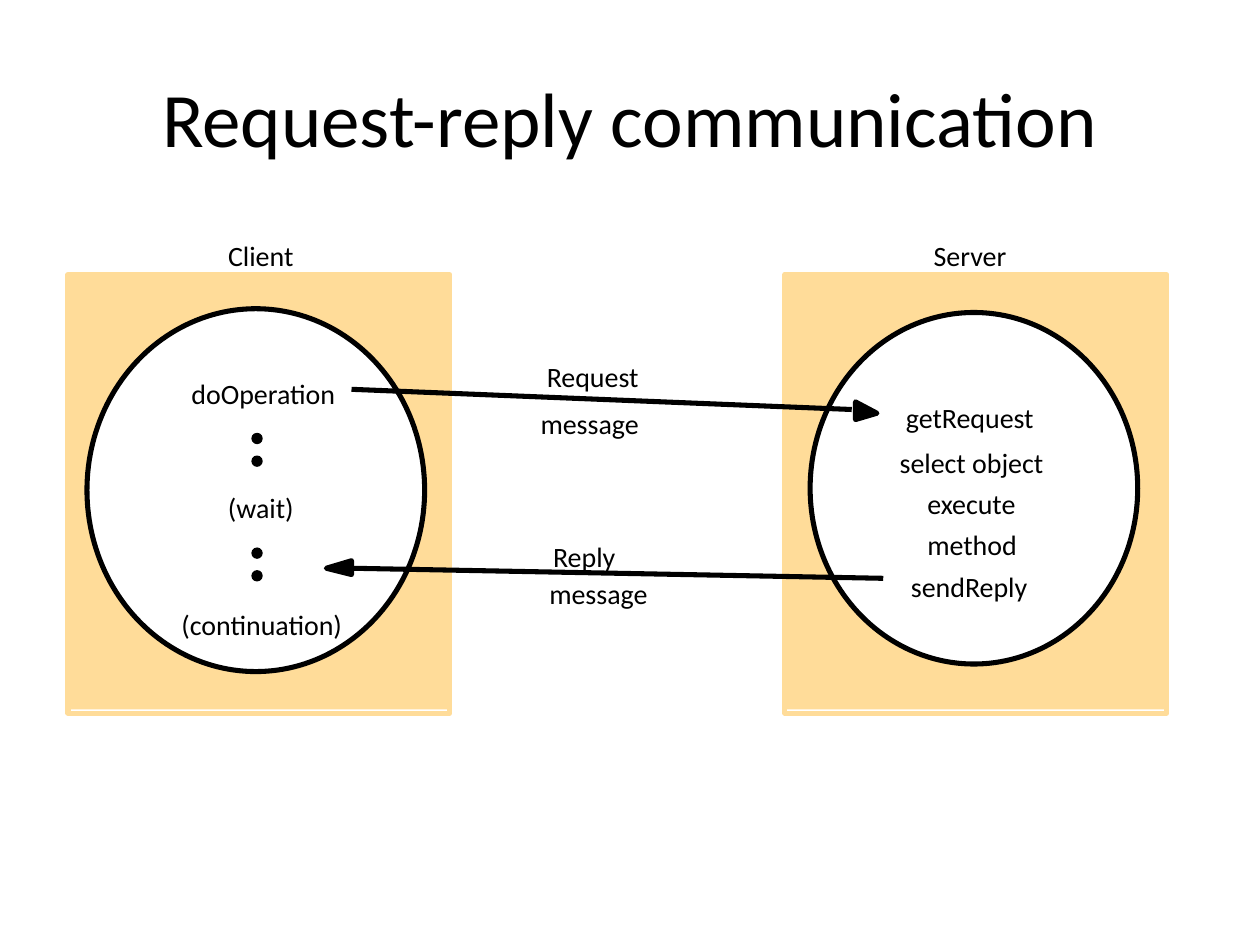
from pptx import Presentation
from pptx.dml.color import RGBColor
from pptx.enum.shapes import MSO_CONNECTOR, MSO_SHAPE
from pptx.enum.text import MSO_ANCHOR, MSO_AUTO_SIZE, PP_ALIGN
from pptx.oxml.ns import qn
from pptx.util import Inches, Pt
from lxml.etree import SubElement

THEME = {
    "font": "Calibri", "ink": "000000", "paper": "FFFFFF", "panel": "FFDC99",
    "title": 44, "label": 16, "stroke": 2.88, "hairline": 0.75,
}
TITLE = ("Request-reply communication", 0.5, 0.3, 9, 1.25)
PANEL_LEFTS = (0.54, 6.23)
PANEL_TOP, PANEL_FILL, PANEL_FRAME = 2.18, (3.01, 3.45), (3.03, 3.48)
PROCESSES = [(0.69, 2.45, 2.68, 2.88), (6.43, 2.48, 2.6, 2.79)]
LABELS = [
    ("Client", 1.81, 1.89, 0.52),
    ("doOperation", 1.52, 2.99, 1.16),
    ("(wait)", 1.81, 3.89, 0.53),
    ("(continuation)", 1.44, 4.82, 1.29),
    ("Server", 7.41, 1.89, 0.59),
    ("getRequest", 7.19, 3.18, 1.05),
    ("select object", 7.14, 3.54, 1.16),
    ("execute", 7.36, 3.86, 0.71),
    ("method", 7.36, 4.19, 0.72),
    ("sendReply", 7.23, 4.52, 0.97),
    ("Request", 4.34, 2.85, 0.74),
    ("message", 4.29, 3.23, 0.79),
    ("Reply", 4.39, 4.28, 0.5),
    ("message", 4.36, 4.58, 0.79),
]
LABEL_HEIGHT = 0.27
ARROWS = [
    ((2.79, 3.09, 6.76, 3.25), [(6.79, 3.25), (6.79, 3.19), (6.96, 3.28), (6.79, 3.33)]),
    ((7.01, 4.59, 2.79, 4.51), [(2.79, 4.51), (2.79, 4.56), (2.59, 4.51), (2.79, 4.45)]),
]
DOT_LEFT, DOT_SIZE, DOT_GAP, DOT_PAIR_TOPS = 2, 0.08, 0.18, (3.44, 4.35)


def color(name):
    return RGBColor.from_string(THEME[name])


def paint(sp, fill=None, line=None, width="stroke"):
    sp.shadow.inherit = False
    if fill:
        sp.fill.solid()
        sp.fill.fore_color.rgb = color(fill)
    else:
        sp.fill.background()
    if line:
        sp.line.color.rgb = color(line)
        sp.line.width = Pt(THEME[width])
    else:
        sp.line.fill.background()


def add_shape(shapes, kind, box, **style):
    sp = shapes.add_shape(kind, *map(Inches, box))
    paint(sp, **style)


def add_text(shapes, text, box, size, align, **frame):
    tf = shapes.add_textbox(*map(Inches, box)).text_frame
    for name, value in frame.items():
        setattr(tf, name, value)
    p = tf.paragraphs[0]
    p.alignment = align
    r = p.add_run()
    r.text = text
    for name, value in {"name": THEME["font"], "size": Pt(THEME[size])}.items():
        setattr(r.font, name, value)
    r.font.color.rgb = color("ink")


def add_arrow(shapes, ends, head):
    points = [tuple(map(Inches, point)) for point in head]
    builder = shapes.build_freeform(*points[0])
    builder.add_line_segments(points[1:], close=True)
    paint(builder.convert_to_shape(), fill="ink", line="ink")
    cn = shapes.add_connector(MSO_CONNECTOR.STRAIGHT, *map(Inches, ends))
    cn.line.color.rgb = color("ink")
    cn.line.width = Pt(THEME["stroke"])
    SubElement(cn._element.spPr, qn("a:effectLst"))


def main():
    """Build the request-reply communication slide."""
    prs = Presentation()
    prs.slide_width, prs.slide_height = Inches(10), Inches(7.5)
    s = prs.slides.add_slide(prs.slide_layouts[6])
    shapes = s.shapes

    text, *box = TITLE
    add_text(shapes, text, box, "title", PP_ALIGN.CENTER,
             word_wrap=True, vertical_anchor=MSO_ANCHOR.MIDDLE)
    for left in PANEL_LEFTS:
        add_shape(shapes, MSO_SHAPE.RECTANGLE, (left, PANEL_TOP, *PANEL_FILL), fill="panel")
        add_shape(shapes, MSO_SHAPE.RECTANGLE, (left, PANEL_TOP, *PANEL_FRAME), line="panel")
    for box in PROCESSES:
        add_shape(shapes, MSO_SHAPE.OVAL, box, fill="paper", line="ink")
    for ends, head in ARROWS:
        add_arrow(shapes, ends, head)

    flush = dict.fromkeys(("margin_left", "margin_top", "margin_right", "margin_bottom"), 0)
    for text, left, top, width in LABELS:
        add_text(shapes, text, (left, top, width, LABEL_HEIGHT), "label", PP_ALIGN.LEFT,
                 word_wrap=False, auto_size=MSO_AUTO_SIZE.SHAPE_TO_FIT_TEXT, **flush)
    for pair_top in DOT_PAIR_TOPS:
        pair = shapes.add_group_shape()
        for top in (pair_top, pair_top + DOT_GAP):
            add_shape(pair.shapes, MSO_SHAPE.OVAL, (DOT_LEFT, top, DOT_SIZE, DOT_SIZE),
                      fill="ink", line="ink", width="hairline")
    prs.save("out.pptx")


if __name__ == "__main__":
    main()
